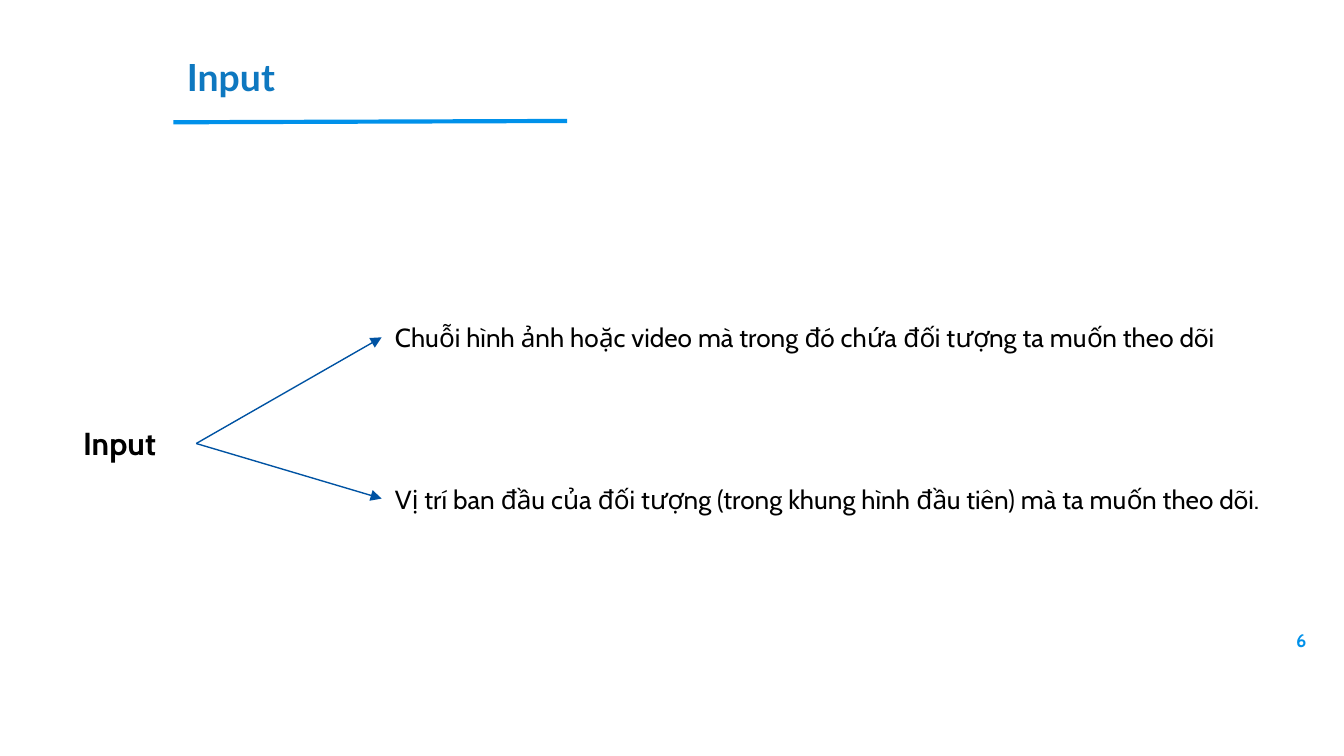
from lxml.etree import SubElement
from pptx import Presentation
from pptx.dml.color import RGBColor
from pptx.enum.shapes import MSO_CONNECTOR
from pptx.enum.text import MSO_ANCHOR, PP_ALIGN
from pptx.oxml.ns import qn
from pptx.util import Inches, Pt

COLORS = {"title": "0E78C0", "accent": "0091EA", "arrow": "0053A3", "text": "000000"}
TITLE_LEFT = 1.29
FORK = (1.46, 3.3)
BRANCH_LEFT, BRANCH_HEIGHT = 2.84, 0.44
BRANCHES = [
    (2.51, 6.31, "Chuỗi hình ảnh hoặc video mà trong đó chứa đối tượng ta muốn theo dõi"),
    (3.71, 6.65, "Vị trí ban đầu của đối tượng (trong khung hình đầu tiên) mà ta muốn theo dõi."),
]


def write(shape, text, color, align=PP_ALIGN.LEFT, inset=0.1, **font):
    tf = shape.text_frame
    frame = {"word_wrap": True, "vertical_anchor": MSO_ANCHOR.MIDDLE}
    frame.update({f"margin_{side}": Inches(inset)
                  for side in ("left", "top", "right", "bottom")})
    for name, value in frame.items():
        setattr(tf, name, value)
    p = tf.paragraphs[0]
    p.alignment = align
    r = p.add_run()
    r.text = text
    for name, value in font.items():
        setattr(r.font, name, value)
    r.font.color.rgb = RGBColor.from_string(COLORS[color])


def add_title(s, text, box):
    title = s.shapes.title
    for name, value in zip(("left", "top", "width", "height"), box):
        setattr(title, name, Inches(value))
    write(title, text, "title", name="Lato", size=Pt(20), bold=True)


def add_text(s, text, box, color="text", **style):
    sp = s.shapes.add_textbox(*map(Inches, box))
    write(sp, text, color, name="Cabin", **style)


def add_line(s, start, end, color, width, arrow=False):
    line = s.shapes.add_connector(MSO_CONNECTOR.STRAIGHT, *map(Inches, (*start, *end)))
    line.line.color.rgb = RGBColor.from_string(COLORS[color])
    line.line.width = Pt(width)
    if arrow:
        SubElement(line.line._get_or_add_ln(), qn("a:tailEnd"), type="triangle")
    SubElement(line._element.spPr, qn("a:effectLst"))


def main():
    prs = Presentation()
    prs.slide_width = Inches(10)
    prs.slide_height = prs.slide_width * 9 // 16
    s = prs.slides.add_slide(prs.slide_layouts[5])

    add_title(s, "Input", (TITLE_LEFT, 0.3, 6.64, 0.54))
    add_line(s, (TITLE_LEFT, 0.91), (4.22, 0.9), "accent", 2.25)

    add_text(s, "Input", (0.52, 3.05, 0.93, 0.49), size=Pt(17), bold=True)
    for y, width, text in BRANCHES:
        add_line(s, FORK, (BRANCH_LEFT, y), "arrow", 0.75, arrow=True)
        add_text(s, text, (BRANCH_LEFT, y - BRANCH_HEIGHT / 2, width, BRANCH_HEIGHT),
                 size=Pt(14))

    add_text(s, "6", (9.19, 4.6, 0.6, 0.32), "accent", align=PP_ALIGN.RIGHT,
             inset=0.07, size=Pt(9.8), bold=True)
    prs.save("out.pptx")


if __name__ == "__main__":
    main()
